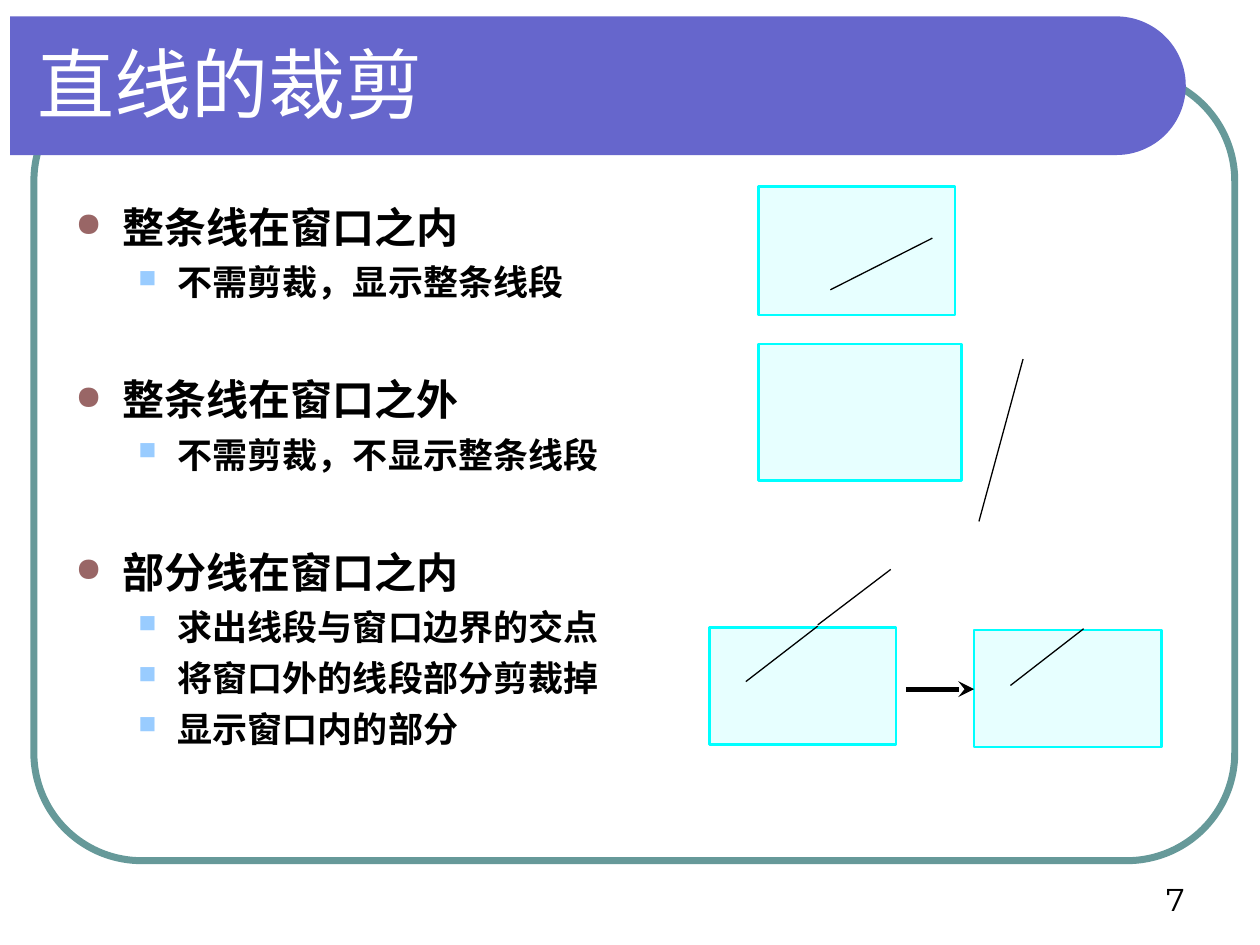
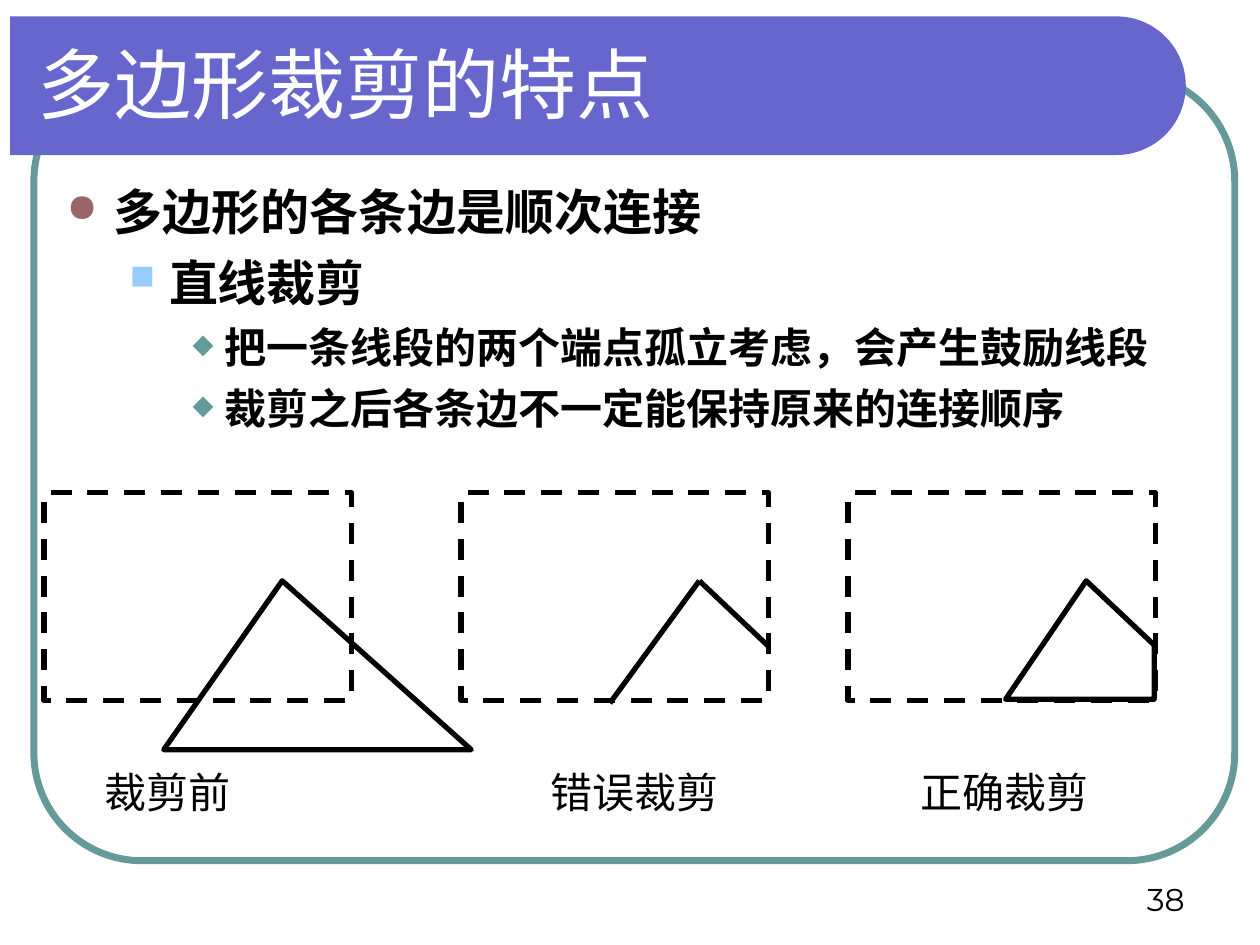
from math import cos, pi, sin

from lxml.etree import SubElement
from pptx import Presentation
from pptx.dml.color import RGBColor
from pptx.enum.dml import MSO_LINE
from pptx.enum.shapes import MSO_CONNECTOR, MSO_SHAPE
from pptx.enum.text import MSO_ANCHOR as ANCHOR, PP_ALIGN as ALIGN
from pptx.oxml.ns import qn
from pptx.util import Pt

COLORS = {
    "white": "FFFFFF", "black": "000000", "band": "6666CC", "frame": "669999",
    "dot": "996666", "square": "99CCFF", "diamond": "669999",
    "window": "CCFFFF", "window_edge": "00FFFF",
}
TITLE_FONT, BODY_FONT = "Arial", "Times New Roman"
LABEL_FONT, NUMBER_FONT = "DejaVu Sans", "Montserrat"

# bullet, colour, size in percent, left margin, hanging indent
LEVELS = [
    ("●", "dot", 80, 27, 27),
    ("■", "square", 70, 58.5, 22.5),
    ("◆", "diamond", 65, 90, 18),
]
LINE_SPACING, SPACE_BEFORE = 1.2, 0.25  # relative to the text size

LINE_CLIPPING = {
    "title": "直线的裁剪",
    "number": "7",
    "box": (36, 111.6, 648, 383.8),
    "groups": [  # lines of (level, size, text)
        [(0, 24, "整条线在窗口之内"),
         (1, 20, "不需剪裁，显示整条线段")],
        [(0, 24, "整条线在窗口之外"),
         (1, 20, "不需剪裁，不显示整条线段")],
        [(0, 24, "部分线在窗口之内"),
         (1, 20, "求出线段与窗口边界的交点"),
         (1, 20, "将窗口外的线段部分剪裁掉"),
         (1, 20, "显示窗口内的部分")],
    ],
}
CLIP_CASES = [  # window, segments
    ((433.4, 106.6, 112.3, 73.4), [((474.5, 165.6), (532.8, 136.1))]),
    ((433.4, 196.6, 115.9, 77.8), [((559.4, 298), (584.6, 205.2))]),
    ((405.4, 358.6, 106.6, 67), [((426.2, 389.5), (467.3, 357.8)),
                                 ((467.3, 357.1), (509, 325.4))]),
    ((556.6, 360, 107.3, 67), [((577.4, 391.7), (619.2, 359.3))]),
]
RESULT_ARROW = ((517.7, 393.8), (556.6, 393.8))

POLYGON_CLIPPING = {
    "title": "多边形裁剪的特点",
    "number": "38",
    "box": (31, 100, 663, 386),
    "groups": [
        [(0, 28, "多边形的各条边是顺次连接"),
         (1, 28, "直线裁剪"),
         (2, 24, "把一条线段的两个端点孤立考虑，会产生鼓励线段"),
         (2, 24, "裁剪之后各条边不一定能保持原来的连接顺序")],
    ],
}
WINDOW_TOP, WINDOW_W, WINDOW_H = 281.5, 175.7, 118.8
APEX = (136.1, 50.4)  # polygon points count from the window corner
LABEL_TOP, LABEL_SIZE = 434.2, 24
FIGURES = [  # label, label left, window left, closed, other points
    ("裁剪前", 52.6, 25.2, True, [(244.1, 146.9), (68.4, 146.9)]),
    ("错误裁剪", 307.4, 263.5, False, [(85, 120.3), (WINDOW_W, 87.9)]),
    ("正确裁剪", 519.1, 484.6, True,
     [(174.9, 87.1), (174.9, 118.1), (90, 118.1)]),
]


def rgb(name):
    return RGBColor.from_string(COLORS[name])


def style(sp, fill=None, line=None, width=1, alpha=None, dash=None):
    sp.shadow.inherit = False
    if fill:
        sp.fill.solid()
        sp.fill.fore_color.rgb = rgb(fill)
        if alpha:
            color = sp.fill._xPr.find(qn("a:solidFill"))[0]
            SubElement(color, qn("a:alpha"), val=str(alpha * 1000))
    else:
        sp.fill.background()
    if line:
        sp.line.color.rgb = rgb(line)
        sp.line.width = Pt(width)
        if dash:
            sp.line.dash_style = dash
    else:
        sp.line.fill.background()


def add_box(s, kind, at, **look):
    sp = s.shapes.add_shape(kind, *map(Pt, at))
    style(sp, **look)
    return sp


def add_outline(s, points, **look):
    start, *rest = [(Pt(x), Pt(y)) for x, y in points]
    builder = s.shapes.build_freeform(*start)
    builder.add_line_segments(rest, close=True)
    style(builder.convert_to_shape(), **look)


def add_line(s, start, end, width=0.75, arrow=False):
    ln = s.shapes.add_connector(MSO_CONNECTOR.STRAIGHT, *map(Pt, start + end))
    ln.line.color.rgb = rgb("black")
    ln.line.width = Pt(width)
    if arrow:
        SubElement(ln.line._get_or_add_ln(), qn("a:tailEnd"), type="stealth")
    SubElement(ln._element.spPr, qn("a:effectLst"))


def set_font(font, name, size, color="black", bold=False):
    font.name, font.size, font.bold = name, Pt(size), bold
    font.color.rgb = rgb(color)


def add_text(s, text, at, font, size, color="black", align=ALIGN.LEFT,
             anchor=ANCHOR.TOP, wrap=True):
    tf = s.shapes.add_textbox(*map(Pt, at)).text_frame
    tf.word_wrap, tf.vertical_anchor = wrap, anchor
    p = tf.paragraphs[0]
    p.alignment = align
    r = p.add_run()
    r.text = text
    set_font(r.font, font, size, color)


def add_bullet(p, level):
    char, color, percent, margin, hanging = LEVELS[level]
    pPr = p._p.get_or_add_pPr()
    pPr.set("marL", str(Pt(margin)))
    pPr.set("indent", str(-Pt(hanging)))
    clr = SubElement(pPr, qn("a:buClr"))
    SubElement(clr, qn("a:srgbClr"), val=COLORS[color])
    SubElement(pPr, qn("a:buSzPct"), val=str(percent * 1000))
    SubElement(pPr, qn("a:buChar"), char=char)


def add_bullets(s, groups, at):
    """Groups are set apart by the height of one more line."""
    tf = s.shapes.add_textbox(*map(Pt, at)).text_frame
    tf.word_wrap = True
    for g, group in enumerate(groups):
        for i, (level, size, text) in enumerate(group):
            first = g == i == 0
            p = tf.paragraphs[0] if first else tf.add_paragraph()
            add_bullet(p, level)
            p.level = level
            line, gap = size * LINE_SPACING, size * SPACE_BEFORE
            if i == 0:
                gap += line + gap
            p.line_spacing = Pt(line)
            p.space_before = Pt(0 if first else gap)
            r = p.add_run()
            r.text = text
            set_font(r.font, BODY_FONT, size, bold=True)


def add_band(s, left=5.8, top=9.4, width=671.8, height=79.2, steps=48):
    radius = height / 2
    cx, cy = left + width - radius, top + radius
    angles = [pi * (i / steps - 0.5) for i in range(steps + 1)]
    arc = [(cx + radius * cos(a), cy + radius * sin(a)) for a in angles]
    add_outline(s, [(left, top), *arc, (left, top + height)], fill="band")


def add_slide(prs, content):
    s = prs.slides.add_slide(prs.slide_layouts[6])
    frame = add_box(s, MSO_SHAPE.ROUNDED_RECTANGLE, (19.4, 41.8, 686.2, 450),
                    line="frame", width=4)
    frame.adjustments[0] = 0.137
    add_band(s)
    add_text(s, content["title"], (14.4, 9.4, 661, 75.6), TITLE_FONT, 44,
             color="white", anchor=ANCHOR.MIDDLE)
    add_bullets(s, content["groups"], content["box"])
    add_text(s, content["number"], (516, 492, 168, 36), NUMBER_FONT, 18,
             align=ALIGN.RIGHT, anchor=ANCHOR.BOTTOM)
    return s


def add_clip_cases(s):
    for window, segments in CLIP_CASES:
        add_box(s, MSO_SHAPE.RECTANGLE, window, fill="window", alpha=46,
                line="window_edge", width=1.5)
        for start, end in segments:
            add_line(s, start, end)
    add_line(s, *RESULT_ARROW, width=3, arrow=True)


def add_figures(s):
    for label, label_left, left, closed, others in FIGURES:
        add_box(s, MSO_SHAPE.RECTANGLE, (left, WINDOW_TOP, WINDOW_W, WINDOW_H),
                line="black", width=3, dash=MSO_LINE.DASH)
        apex, *rest = [(left + x, WINDOW_TOP + y) for x, y in [APEX, *others]]
        if closed:
            add_outline(s, [apex, *rest], line="black", width=3)
        else:
            for end in rest:
                add_line(s, apex, end, width=3)
        label_width = len(label) * LABEL_SIZE + 14.4
        add_text(s, label, (label_left, LABEL_TOP, label_width, 36),
                 LABEL_FONT, LABEL_SIZE, wrap=False)


def main():
    prs = Presentation()
    prs.slide_width, prs.slide_height = Pt(720), Pt(540)
    add_clip_cases(add_slide(prs, LINE_CLIPPING))
    add_figures(add_slide(prs, POLYGON_CLIPPING))
    prs.save("out.pptx")


if __name__ == "__main__":
    main()
